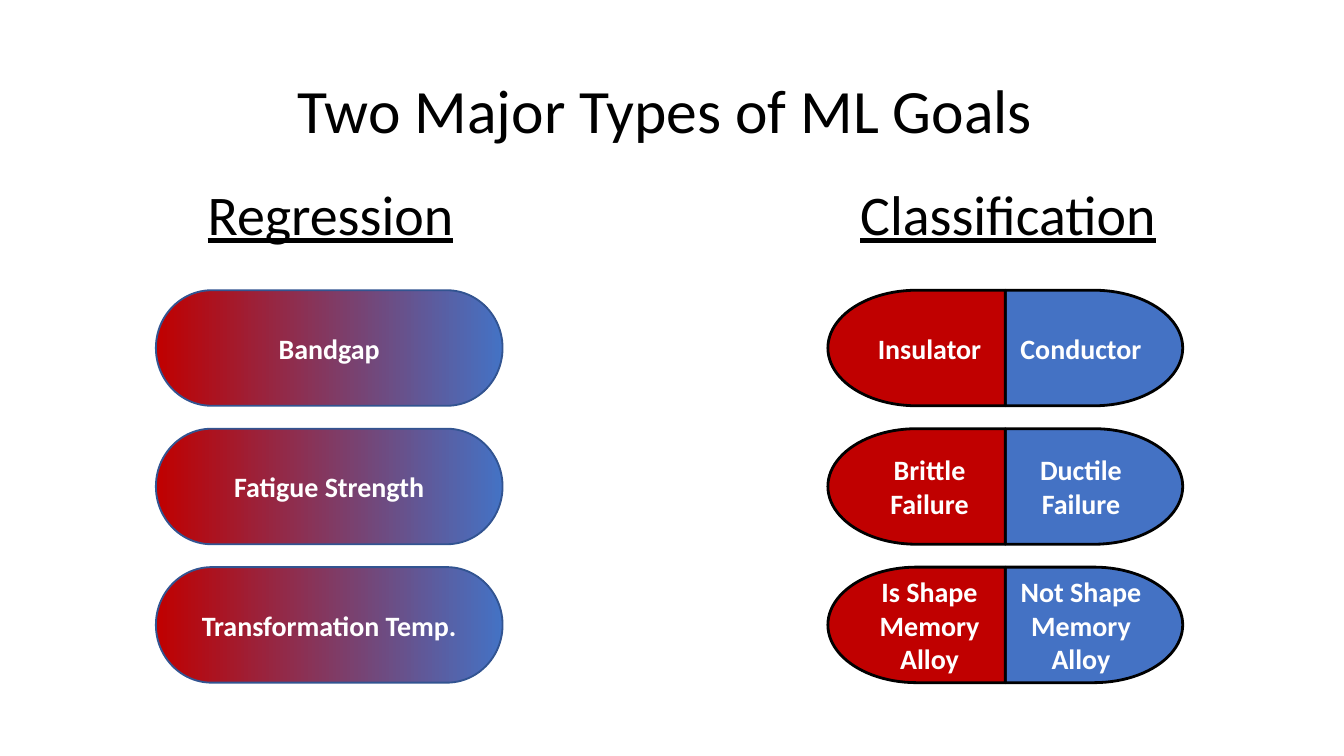
from pptx import Presentation
from pptx.dml.color import RGBColor
from pptx.enum.shapes import MSO_SHAPE as Shape
from pptx.enum.text import MSO_ANCHOR as Anchor, PP_ALIGN as Align
from pptx.util import Inches, Pt

BLACK = RGBColor(0x00, 0x00, 0x00)
WHITE = RGBColor(0xFF, 0xFF, 0xFF)
RED = RGBColor(0xC0, 0x00, 0x00)
BLUE = RGBColor(0x44, 0x72, 0xC4)
DARK_BLUE = RGBColor(0x32, 0x54, 0x91)

PILL_HEIGHT = 0.86
ROW_PITCH = 1.03

PROPERTIES = ["Bandgap", "Fatigue Strength", "Transformation Temp."]
CLASSES = [
    ("Insulator", "Conductor"),
    ("Brittle\vFailure", "Ductile\vFailure"),
    ("Is Shape Memory Alloy", "Not Shape Memory Alloy"),
]


def write(frame, text, size, color, bold=False, underline=False, spacing=1.0):
    frame.text = text
    frame.word_wrap = True
    frame.vertical_anchor = Anchor.MIDDLE
    frame.margin_left = frame.margin_right = Inches(0.07)
    frame.margin_top = frame.margin_bottom = Inches(0.04)
    paragraph = frame.paragraphs[0]
    paragraph.alignment = Align.CENTER
    paragraph.line_spacing = spacing
    for run in paragraph.runs:
        run.font.name = "Calibri"
        run.font.size = Pt(size)
        run.font.bold = bold
        run.font.underline = underline
        run.font.color.rgb = color


def add_title(slide, left, top, width, height):
    title = slide.shapes.title
    title.left, title.top = Inches(left), Inches(top)
    title.width, title.height = Inches(width), Inches(height)
    write(title.text_frame, "Two Major Types of ML Goals ", 33, BLACK, spacing=0.9)


def add_heading(slide, text, left, top, width, height):
    heading = slide.shapes.add_textbox(
        Inches(left), Inches(top), Inches(width), Inches(height))
    write(heading.text_frame, text, 30, BLACK, underline=True, spacing=0.9)


def add_pill(slide, kind, text, left, top, width, outline, weight):
    pill = slide.shapes.add_shape(
        kind, Inches(left), Inches(top), Inches(width), Inches(PILL_HEIGHT))
    pill.shadow.inherit = False
    pill.line.color.rgb = outline
    pill.line.width = Pt(weight)
    write(pill.text_frame, text, 15, WHITE, bold=True)
    return pill


def add_regression(slide, left, top, width):
    for row, name in enumerate(PROPERTIES):
        pill = add_pill(slide, Shape.FLOWCHART_TERMINATOR, name,
                        left, top + row * ROW_PITCH, width, DARK_BLUE, 1)
        pill.fill.gradient()
        pill.fill.gradient_angle = 0
        for stop, color in zip(pill.fill.gradient_stops, (RED, BLUE)):
            stop.color.rgb = color


def add_classification(slide, left, top, width):
    half = width / 2
    for row, (first, second) in enumerate(CLASSES):
        y = top + row * ROW_PITCH
        right_half = add_pill(slide, Shape.FLOWCHART_DELAY, second,
                              left + half, y, half, BLACK, 1.5)
        right_half.fill.solid()
        right_half.fill.fore_color.rgb = BLUE
        left_half = add_pill(slide, Shape.FLOWCHART_DELAY, first,
                             left, y, half, BLACK, 1.5)
        left_half.fill.solid()
        left_half.fill.fore_color.rgb = RED
        left_half._element.spPr.xfrm.set("flipH", "1")


def main():
    deck = Presentation()
    deck.slide_width = Inches(10)
    deck.slide_height = deck.slide_width * 9 // 16
    slide = deck.slides.add_slide(deck.slide_layouts[5])
    add_title(slide, 0.69, 0.3, 8.62, 1.09)
    add_heading(slide, "Classification", 5, 1.07, 5, 1.09)
    add_heading(slide, "Regression", -0.04, 1.07, 5, 1.09)
    add_regression(slide, 1.16, 2.16, 2.58)
    add_classification(slide, 6.16, 2.16, 2.64)
    deck.save("out.pptx")


if __name__ == "__main__":
    main()
